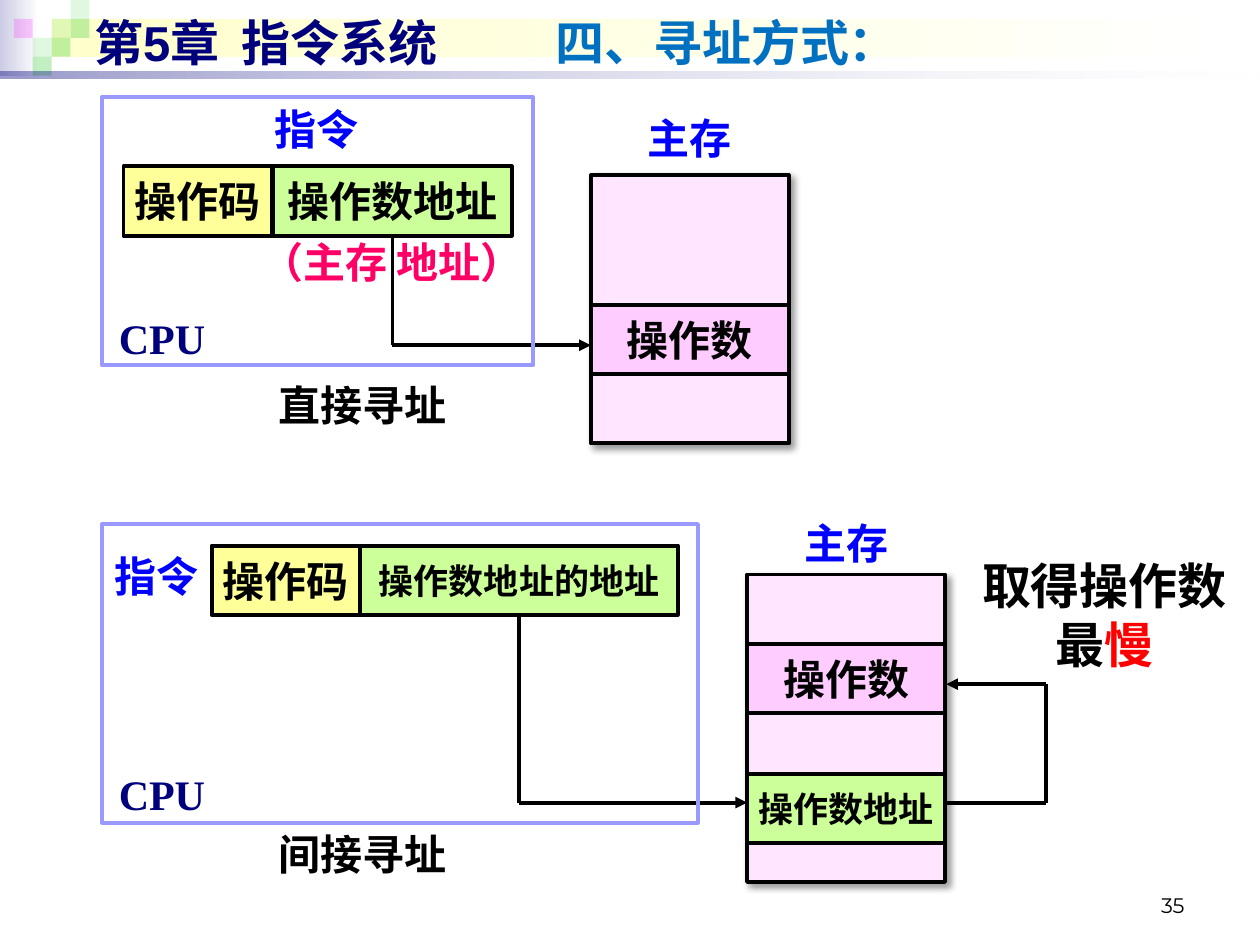
from dataclasses import dataclass
from typing import Optional

from lxml import etree
from pptx import Presentation
from pptx.dml.color import RGBColor
from pptx.enum.shapes import MSO_CONNECTOR, MSO_SHAPE
from pptx.enum.text import MSO_ANCHOR as Anchor, PP_ALIGN as Align
from pptx.oxml.ns import qn
from pptx.util import Inches, Pt

BLACK = RGBColor(0x00, 0x00, 0x00)
WHITE = RGBColor(0xFF, 0xFF, 0xFF)
NAVY = RGBColor(0x00, 0x00, 0x7D)
BLUE = RGBColor(0x00, 0x00, 0xFF)
SKY = RGBColor(0x00, 0x70, 0xC0)
RED = RGBColor(0xFF, 0x00, 0x00)
ROSE = RGBColor(0xFF, 0x00, 0x66)
PERIWINKLE = RGBColor(0x99, 0x99, 0xFF)
LAVENDER = RGBColor(0xCC, 0xCC, 0xE6)
CREAM = RGBColor(0xFF, 0xFF, 0xCC)
YELLOW = RGBColor(0xFF, 0xFF, 0x99)
LIME = RGBColor(0xCC, 0xFF, 0x99)
PINK = RGBColor(0xFF, 0xCC, 0xFF)
PALE_PINK = RGBColor(0xFF, 0xE5, 0xFF)
GREEN = RGBColor(0x33, 0xCC, 0x33)
MAGENTA = RGBColor(0xFF, 0x00, 0xFF)

SERIF, SANS, CJK = "Times New Roman", "Arial", "Noto Sans CJK SC"
CELL_H, MEMORY_W, TILE = 0.55, 1.57, 0.15


@dataclass
class Box:
    x: float
    y: float
    w: float
    h: float


@dataclass
class Cell:
    box: Box
    text: str
    fill: RGBColor
    size: int = 24


@dataclass
class Label:
    box: Box
    lines: list  # each line is a list of (text, colour)
    size: int = 24
    font: str = SERIF
    align: Align = Align.CENTER
    anchor: Anchor = Anchor.TOP
    wrap: bool = True
    bold: bool = True


def inches(box: Box) -> tuple:
    return tuple(Inches(v) for v in (box.x, box.y, box.w, box.h))


def add_alpha(color_el, percent: int) -> None:
    etree.SubElement(color_el, qn("a:alpha")).set("val", str(percent * 1000))


def write(tf, lines: list, size: int, font: str = SERIF, align: Align = Align.CENTER,
          anchor: Anchor = Anchor.MIDDLE, wrap: bool = False, bold: bool = True) -> None:
    tf.word_wrap, tf.vertical_anchor = wrap, anchor
    for i, line in enumerate(lines):
        p = tf.paragraphs[0] if i == 0 else tf.add_paragraph()
        p.alignment = align
        for text, color in line:
            r = p.add_run()
            r.text = text
            for name, value in {"size": Pt(size), "name": font, "bold": bold}.items():
                setattr(r.font, name, value)
            r.font.color.rgb = color
            etree.SubElement(r.font._element, qn("a:ea")).set("typeface", CJK)


def add_rect(s, box: Box, fill: Optional[RGBColor] = None, line: Optional[RGBColor] = None,
             alpha: int = 100):
    sp = s.shapes.add_shape(MSO_SHAPE.RECTANGLE, *inches(box))
    sp.shadow.inherit = False
    if fill is None:
        sp.fill.background()
    else:
        sp.fill.solid()
        sp.fill.fore_color.rgb = fill
        if alpha < 100:
            add_alpha(sp._element.spPr.find(".//" + qn("a:srgbClr")), alpha)
    if line is None:
        sp.line.fill.background()
    else:
        sp.line.color.rgb = line
        sp.line.width = Pt(2.25)
    return sp


def add_gradient(s, box: Box, start: RGBColor, alphas: tuple = (100, 100)) -> None:
    sp = add_rect(s, box)
    sp.fill.gradient()
    sp.fill.gradient_angle = 0
    for stop, color in zip(sp.fill.gradient_stops, (start, WHITE)):
        stop.color.rgb = color
    for el, alpha in zip(sp._element.spPr.findall(".//" + qn("a:gs")), alphas):
        if alpha < 100:
            add_alpha(el[0], alpha)


def add_memory(s, box: Box) -> None:
    sp = add_rect(s, box, PALE_PINK, BLACK)
    effects = sp._element.spPr.find(qn("a:effectLst"))
    shadow = etree.SubElement(effects, qn("a:outerShdw"))
    for name, value in {"blurRad": Pt(4), "dist": Pt(3), "dir": 45 * 60000,
                        "algn": "tl", "rotWithShape": 0}.items():
        shadow.set(name, str(value))
    color = etree.SubElement(shadow, qn("a:srgbClr"))
    color.set("val", str(BLACK))
    add_alpha(color, 40)


def add_cell(s, cell: Cell):
    sp = add_rect(s, cell.box, cell.fill, BLACK)
    write(sp.text_frame, [[(cell.text, BLACK)]], cell.size)
    return sp


def add_label(s, label: Label) -> None:
    tb = s.shapes.add_textbox(*inches(label.box))
    write(tb.text_frame, label.lines, label.size, label.font, label.align,
          label.anchor, label.wrap, label.bold)


def add_route(s, points: list, source=None) -> None:
    """Straight segments through the points, with an arrowhead on the last."""
    for i, (a, b) in enumerate(zip(points, points[1:])):
        c = s.shapes.add_connector(MSO_CONNECTOR.STRAIGHT, *(Inches(v) for v in a + b))
        c.line.color.rgb = BLACK
        c.line.width = Pt(2.25)
        if i == 0 and source is not None:
            c.begin_connect(source, 2)
        if i == len(points) - 2:
            etree.SubElement(c.line._get_or_add_ln(), qn("a:tailEnd")).set("type", "triangle")
        etree.SubElement(c._element.spPr, qn("a:effectLst"))


def add_diagram(s, frame: Box, memory: Box, opcode: Cell, address: Cell,
                memory_cells: list, target_y: float, labels: list) -> None:
    add_memory(s, memory)
    add_cell(s, opcode)
    source = add_cell(s, address)
    for cell in memory_cells:
        add_cell(s, cell)
    box = address.box
    mid = box.x + box.w / 2
    add_route(s, [(mid, box.y + box.h), (mid, target_y), (memory.x, target_y)], source)
    add_rect(s, frame, line=PERIWINKLE)
    for label in labels:
        add_label(s, label)


prs = Presentation()
prs.slide_width, prs.slide_height = Inches(10), Inches(7.5)
s = prs.slides.add_slide(prs.slide_layouts[6])

# Header band with its mosaic of tiles (column, row, colour, opacity)
add_gradient(s, Box(0, 0, 0.31, 0.6), LAVENDER)
add_gradient(s, Box(0.41, 0.15, 9.55, 0.3), CREAM)
for col, row, color, alpha in [(2, 1, GREEN, 15), (3, 0, GREEN, 15), (3, 1, GREEN, 30),
                               (1, 2, GREEN, 15), (0, 1, MAGENTA, 20),
                               (2, 2, GREEN, 30), (1, 3, GREEN, 30)]:
    add_rect(s, Box(0.11 + col * TILE, row * TILE, TILE, TILE), color, alpha=alpha)
add_gradient(s, Box(0, 0.57, 10, 0.05), NAVY, (40, 10))

# Titles and page number
for label in [
    Label(Box(0.65, 0.05, 9, 0.57), [[("第5章  指令系统", NAVY)]], 28, SANS,
          Align.LEFT, Anchor.MIDDLE),
    Label(Box(4.31, 0.05, 2.96, 0.57), [[("四、寻址方式：", SKY)]], 28, CJK,
          Align.LEFT, wrap=False),
    Label(Box(7.17, 6.98, 2.33, 0.35), [[("35", BLACK)]], 12, "Montserrat",
          Align.RIGHT, Anchor.BOTTOM, bold=False),
]:
    add_label(s, label)

# Direct addressing
add_diagram(
    s, Box(0.81, 0.77, 3.42, 2.13), Box(4.69, 1.39, MEMORY_W, 2.13),
    Cell(Box(0.98, 1.32, 1.18, CELL_H), "操作码", YELLOW),
    Cell(Box(2.17, 1.32, 1.89, CELL_H), "操作数地址", LIME),
    [Cell(Box(4.69, 2.42, MEMORY_W, CELL_H), "操作数", PINK)], 2.74,
    [Label(Box(0.98, 0.77, 3.07, 0.5), [[("指令", BLUE)]]),
     Label(Box(4.69, 0.84, MEMORY_W, 0.5), [[("主存", BLUE)]]),
     Label(Box(1.95, 1.83, 2.32, 0.5), [[("（主存 地址）", ROSE)]], wrap=False),
     Label(Box(0.84, 2.43, 0.89, 0.5), [[("CPU", NAVY)]], wrap=False),
     Label(Box(1.46, 2.96, 2.84, 0.5), [[("直接寻址", BLACK)]])])

# Indirect addressing
add_diagram(
    s, Box(0.81, 4.16, 4.73, 2.37), Box(5.93, 4.56, MEMORY_W, 2.44),
    Cell(Box(1.68, 4.33, 1.18, CELL_H), "操作码", YELLOW),
    Cell(Box(2.86, 4.33, 2.52, CELL_H), "操作数地址的地址", LIME, 20),
    [Cell(Box(5.93, 5.11, MEMORY_W, CELL_H), "操作数", PINK),
     Cell(Box(5.93, 6.14, MEMORY_W, CELL_H), "操作数地址", LIME, 20)], 6.37,
    [Label(Box(0.81, 4.32, 1.34, 0.5), [[("指令", BLUE)]], align=Align.LEFT),
     Label(Box(5.93, 4.06, MEMORY_W, 0.5), [[("主存", BLUE)]]),
     Label(Box(0.83, 6.05, 0.91, 0.5), [[("CPU", NAVY)]]),
     Label(Box(1.46, 6.53, 2.84, 0.5), [[("间接寻址", BLACK)]]),
     Label(Box(7.68, 4.36, 2.17, 1.04),
           [[("取得操作数", BLACK)], [("最", BLACK), ("慢", RED)]], 28, wrap=False)])

# Second memory access, from the stored address to the operand
add_route(s, [(7.51, 6.37), (8.3, 6.37), (8.3, 5.43), (7.51, 5.43)])

prs.save("out.pptx")
